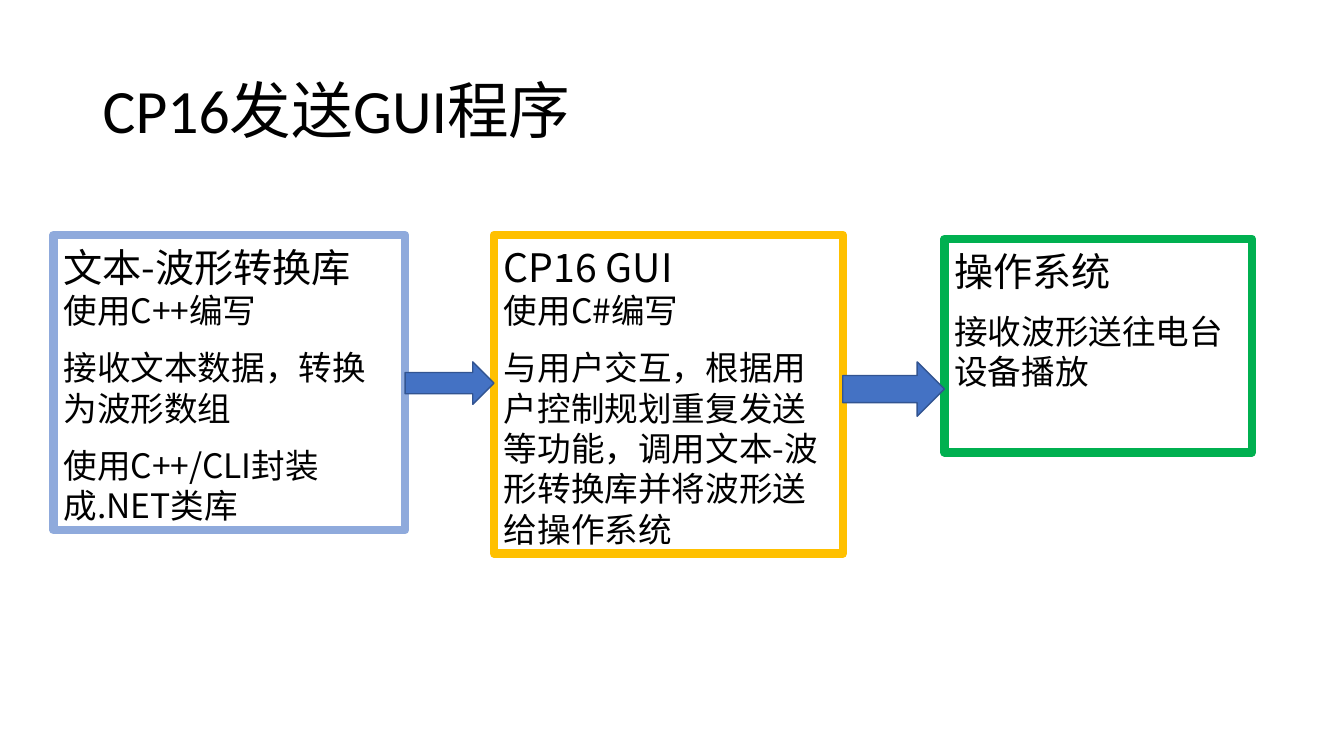
"""Build the slide on the CP16 sending program: three stages joined by arrows."""
import lxml.etree
import pptx
import pptx.dml.color
import pptx.enum.lang
import pptx.enum.shapes
import pptx.enum.text
import pptx.oxml.ns
import pptx.util

Cm, Pt = pptx.util.Cm, pptx.util.Pt
SHAPES = pptx.enum.shapes.MSO_SHAPE


def color(target, value):
    if hasattr(target, "solid"):
        target.solid()
        target = target.fore_color
    else:
        target = target.color
    target.rgb = pptx.dml.color.RGBColor.from_string(value)


def write(para, text, size, latin, asian, spacing, before=0, after=0):
    para.alignment = pptx.enum.text.PP_ALIGN.LEFT
    para.line_spacing = spacing
    para.space_before, para.space_after = Pt(before), Pt(after)
    span = para.add_run()
    span.text = text
    span.font.size, span.font.name = Pt(size), latin
    span.font.language_id = pptx.enum.lang.MSO_LANGUAGE_ID.SIMPLIFIED_CHINESE
    color(span.font, "000000")
    east = lxml.etree.SubElement(span.font._element, pptx.oxml.ns.qn("a:ea"))
    east.set("typeface", asian)


deck = pptx.Presentation()
deck.slide_width, deck.slide_height = Cm(33.87), Cm(19.05)
page = deck.slides.add_slide(deck.slide_layouts[6])

title = page.shapes.add_textbox(Cm(2.34), Cm(1.02), Cm(29.21), Cm(3.68))
title.text_frame.word_wrap = True
title.text_frame.vertical_anchor = pptx.enum.text.MSO_ANCHOR.MIDDLE
write(title.text_frame.paragraphs[0], "CP16发送GUI程序", 44, "Calibri", "Noto Sans CJK SC", 0.9)

stages = [
    (1.35, 5.92, 8.86, 7.44, "8FAADC", "文本-波形转换库", 0,
     ["使用C++编写", "接收文本数据，转换为波形数组", "使用C++/CLI封装成.NET类库"]),
    (12.45, 5.92, 8.79, 8.03, "FFC000", "CP16 GUI", 0,
     ["使用C#编写", "与用户交互，根据用户控制规划重复发送等功能，调用文本-波形转换库并将波形送给操作系统"]),
    (23.8, 6.02, 7.75, 5.38, "00B050", "操作系统", 12, ["接收波形送往电台设备播放"]),
]
for left, top, width, height, border, heading, before, details in stages:
    box = page.shapes.add_shape(SHAPES.RECTANGLE, Cm(left), Cm(top), Cm(width), Cm(height))
    box.shadow.inherit = False
    box.fill.background()
    color(box.line, border)
    box.line.width = Pt(6)
    lxml.etree.SubElement(box.line._ln, pptx.oxml.ns.qn("a:round"))
    frame = box.text_frame
    frame.word_wrap = True
    frame.vertical_anchor = pptx.enum.text.MSO_ANCHOR.TOP
    write(frame.paragraphs[0], heading, 28, "Noto Sans CJK JP", "Noto Sans CJK JP", Pt(36))
    for detail in details:
        write(frame.add_paragraph(), detail, 24, "Noto Sans CJK SC", "Noto Sans CJK SC",
              Pt(28.8), before=before, after=12 - before)

for source, target, height in zip(stages, stages[1:], (1.07, 1.37)):
    left = source[0] + source[2]
    arrow = page.shapes.add_shape(SHAPES.RIGHT_ARROW, Cm(left), Cm(9.12),
                                  Cm(target[0] - left), Cm(height))
    arrow.shadow.inherit = False
    color(arrow.fill, "4472C4")
    color(arrow.line, "325491")
    arrow.line.width = Pt(1)

deck.save("out.pptx")
